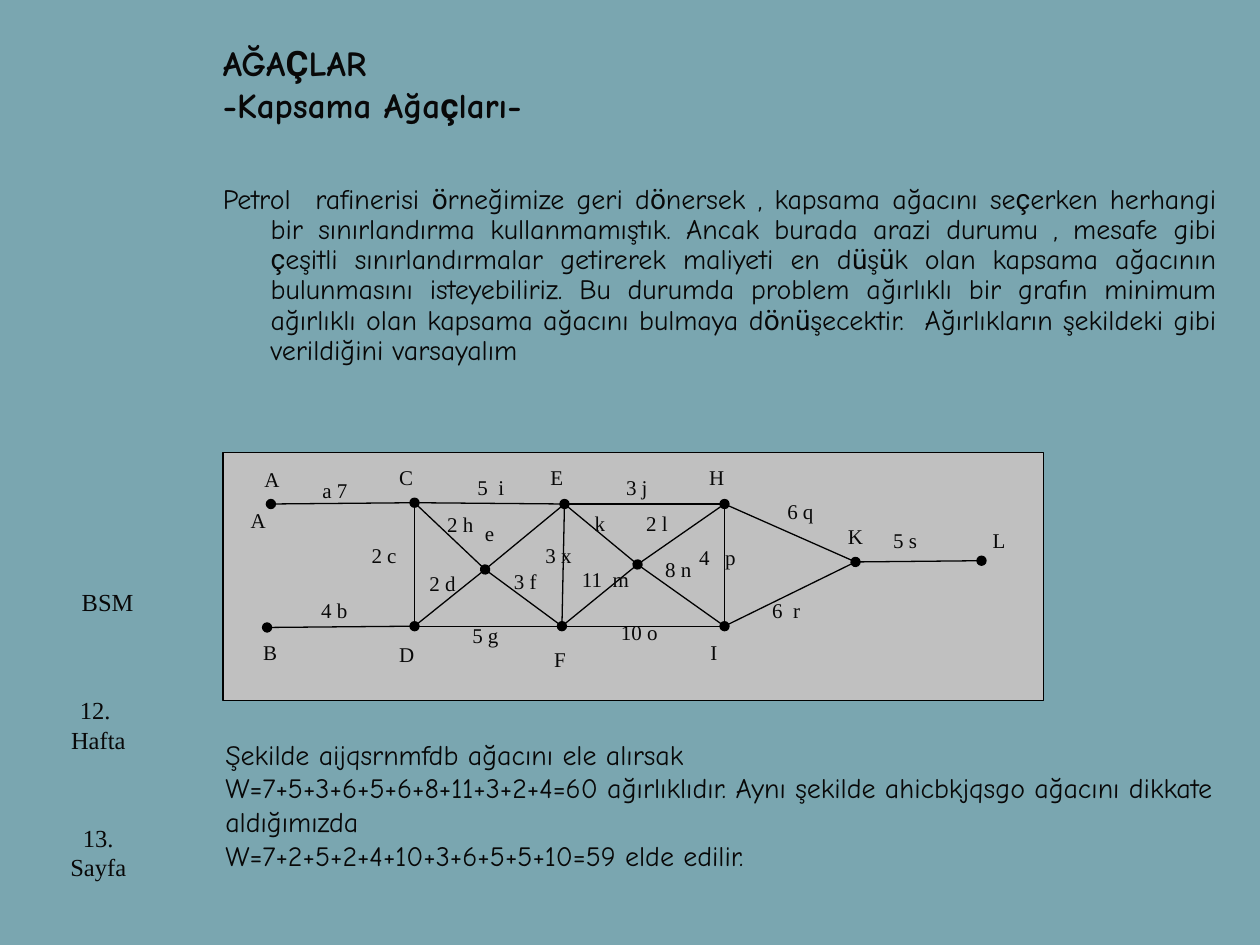
from itertools import groupby

from lxml.etree import SubElement
from pptx import Presentation
from pptx.dml.color import RGBColor
from pptx.enum.shapes import MSO_CONNECTOR as Link, MSO_SHAPE as Shape
from pptx.enum.text import MSO_ANCHOR as Anchor, PP_ALIGN as Align
from pptx.oxml.ns import qn
from pptx.util import Inches, Pt

COLS, ROWS = 100, 75
WIDE, HIGH = Inches(10), Inches(7.5)
INK, BLACK, GREY, BACK = "080808", "000000", "C0C0C0", "7AA6B0"
HAND, SANS, SERIF = "Comic Neue", "Roboto", "Times New Roman"

INTRO = (
    "Petrol  rafinerisi örneğimize geri dönersek , kapsama ağacını seçerken "
    "herhangi bir sınırlandırma kullanmamıştık. Ancak burada arazi durumu , "
    "mesafe gibi çeşitli sınırlandırmalar getirerek maliyeti en düşük olan "
    "kapsama ağacının bulunmasını isteyebiliriz. Bu durumda problem ağırlıklı "
    "bir grafın minimum ağırlıklı olan kapsama ağacını bulmaya dönüşecektir.  "
    "Ağırlıkların şekildeki gibi verildiğini varsayalım"
)
RESULT = [
    "Şekilde aijqsrnmfdb ağacını ele alırsak",
    "W=7+5+3+6+5+6+8+11+3+2+4=60 ağırlıklıdır. Aynı şekilde ahicbkjqsgo "
    "ağacını dikkate aldığımızda",
    "W=7+2+5+2+4+10+3+6+5+5+10=59 elde edilir.",
]
NODES = {
    "A": (3.8, 4.1), "C": (15.2, 4), "E": (27.1, 4.1), "H": (39.8, 4.1),
    "B": (3.5, 13.9), "D": (15.2, 13.8), "F": (26.9, 13.8), "I": (39.8, 13.8),
    "K": (50.2, 8.7), "L": (60.2, 8.6), "P": (20.8, 9.3), "Q": (32.9, 8.9),
}
EDGES = "AC CE EH HI HK KI KL IF FE FD CD DB PE PF PD PC EQ QH QI QF"
LABELS = [
    ("A", 2.3, 0.6), ("B", 2.2, 14.4), ("C", 13, 0.5), ("D", 13, 14.5),
    ("E", 25, 0.5), ("F", 25.3, 14.9), ("H", 37.6, 0.5), ("I", 37.7, 14.4),
    ("K", 48.6, 5.2), ("L", 60.1, 5.5), ("A", 1.2, 3.9), ("a 7", 6.9, 1.5),
    ("4 b", 6.8, 11), ("2 c", 10.8, 6.7), ("2 d", 15.4, 8.9), ("e", 19.8, 4.9),
    ("3 f", 22.1, 8.7), ("2 h", 16.8, 4.2), ("5  i", 19.2, 1.3),
    ("5 g", 18.8, 13), ("3 j", 31, 1.3), ("k", 28.5, 4.1), ("2 l", 32.6, 4.1),
    ("11  m", 27.5, 8.6), ("3 x", 24.6, 6.7), ("8 n", 34.1, 7.8),
    ("10 o", 30.6, 12.8), ("4   p", 36.8, 6.8), ("6 q", 43.8, 3.2),
    ("6  r", 42.6, 11), ("5 s", 52.2, 5.5),
]


def tint(code):
    """Turn a hex string into a colour."""
    return RGBColor.from_string(code)


def cells(x, y):
    """Turn columns and rows into slide lengths."""
    return round(x * WIDE / COLS), round(y * HIGH / ROWS)


def write(shapes, box, lines, size=12, font=SERIF, bold=False,
          align=None, anchor=Anchor.TOP, hang=0, pace=None, gap=None):
    """Place lines of text in a box, with Ç, Ö and Ü in the sans font of hand text."""
    area = shapes.add_textbox(*cells(*box[:2]), *cells(*box[2:]))
    frame = area.text_frame
    frame.word_wrap = True
    frame.vertical_anchor = anchor
    for at, line in enumerate(lines):
        para = frame.paragraphs[0] if at == 0 else frame.add_paragraph()
        para.alignment, para.line_spacing, para.space_before = align, pace, gap
        if hang:
            shift = cells(hang, 0)[0]
            props = para._p.get_or_add_pPr()
            props.set("marL", str(shift))
            props.set("indent", str(-shift))
        for swap, part in groupby(line, lambda c: font == HAND and c in "ÇçÖöÜü"):
            run = para.add_run()
            run.text = "".join(part)
            run.font.name = SANS if swap else font
            run.font.size, run.font.bold = Pt(size), bold
            run.font.color.rgb = tint(INK)


def edge(shapes, start, end, dots):
    """Draw a line with round dots at the chosen ends."""
    link = shapes.add_connector(Link.STRAIGHT, *cells(*start), *cells(*end))
    link.line.color.rgb = tint(BLACK)
    link.line.width = Pt(0.75)
    props = link._element.spPr
    for tag, dot in zip(("a:headEnd", "a:tailEnd"), dots):
        if dot:
            SubElement(props.find(qn("a:ln")), qn(tag), type="oval")
    SubElement(props, qn("a:effectLst"))


def graph(slide, box):
    """Draw the weighted graph on its panel, one dot for each node."""
    left, top = box[:2]
    shapes = slide.shapes.add_group_shape().shapes
    panel = shapes.add_shape(Shape.RECTANGLE, *cells(left, top), *cells(*box[2:]))
    panel.shadow.inherit = False
    panel.fill.solid()
    panel.fill.fore_color.rgb = tint(GREY)
    panel.line.color.rgb = tint(BLACK)
    panel.line.width = Pt(0.75)
    spots = {name: (left + x, top + y) for name, (x, y) in NODES.items()}
    seen = set()
    for pair in EDGES.split():
        edge(shapes, *[spots[n] for n in pair], [n not in seen for n in pair])
        seen.update(pair)
    for text, x, y in LABELS:
        wide = 7.3 if len(text) > 4 else 6.1
        write(shapes, (left + x, top + y, wide, 4.3), [text])


def prose(slide, box):
    """Place the title, the problem and the result in the main column."""
    left, top, wide, high = box
    shapes = slide.shapes
    write(shapes, (left, top, wide, 11.7), ["AĞAÇLAR", "-Kapsama Ağaçları-"],
          size=20, font=HAND, bold=True, anchor=Anchor.MIDDLE)
    write(shapes, (left, top + 13.4, wide, high - 13.4), [INTRO], size=16,
          font=HAND, align=Align.JUSTIFY, hang=3.8, pace=0.9, gap=Pt(3.2))
    write(shapes, (left + 0.2, top + 57.2, wide + 5.2, 11.7), RESULT, size=16,
          font=HAND, anchor=Anchor.MIDDLE)


def side(slide, box):
    """Place the course, week and page notes in the side column."""
    left, top, wide, high = box
    write(slide.shapes, (left + 1.6, top, wide - 1.6, 3.4), ["BSM"], size=14)
    for text, drop, tall in (("12.  Hafta", 8.6, 7), ("13. Sayfa", high - 6.2, 6.2)):
        write(slide.shapes, (left, top + drop, wide, tall), [text], size=14,
              align=Align.CENTER)


def main():
    """Build and save the slide."""
    deck = Presentation()
    deck.slide_width, deck.slide_height = WIDE, HIGH
    slide = deck.slides.add_slide(deck.slide_layouts[6])
    slide.background.fill.solid()
    slide.background.fill.fore_color.rgb = tint(BACK)
    prose(slide, (16.7, 0.8, 80.8, 70.9))
    graph(slide, (17.7, 35.9, 65.1, 19.7))
    side(slide, (3.9, 46.1, 7.8, 24.9))
    deck.save("out.pptx")


if __name__ == "__main__":
    main()
